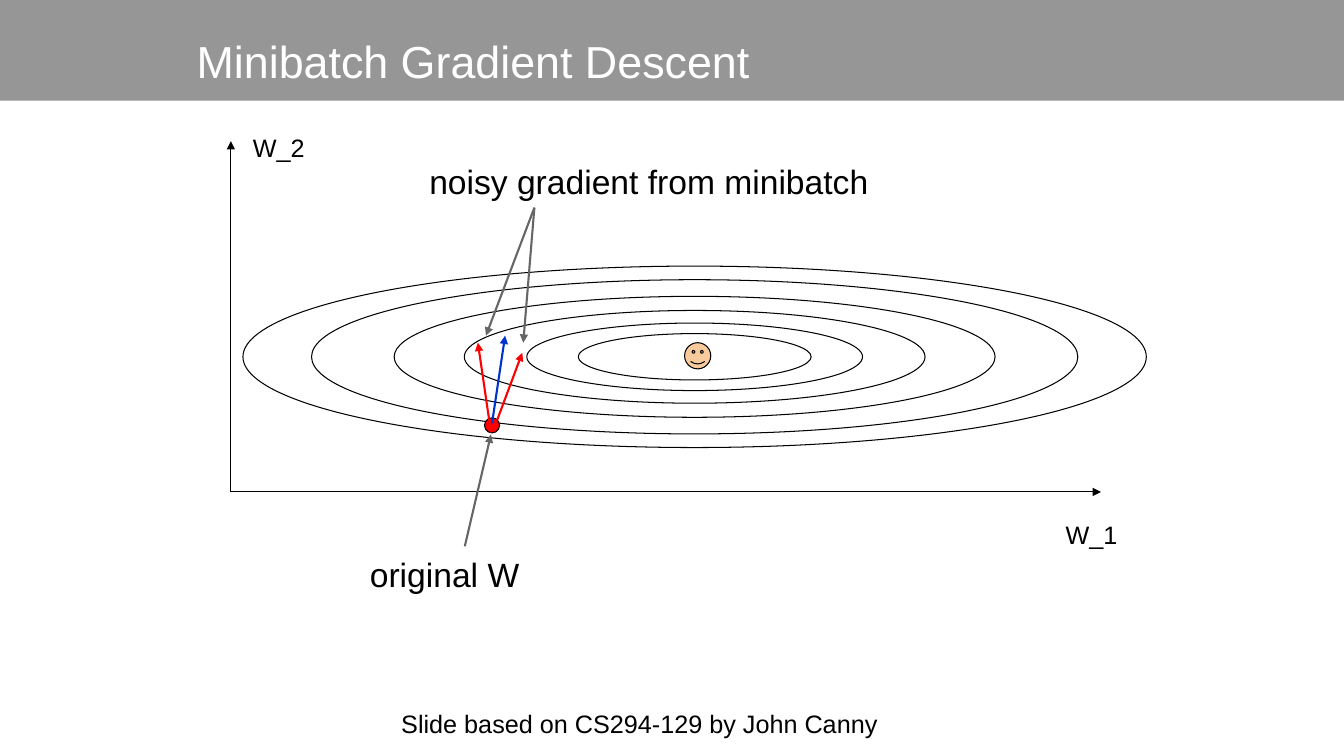
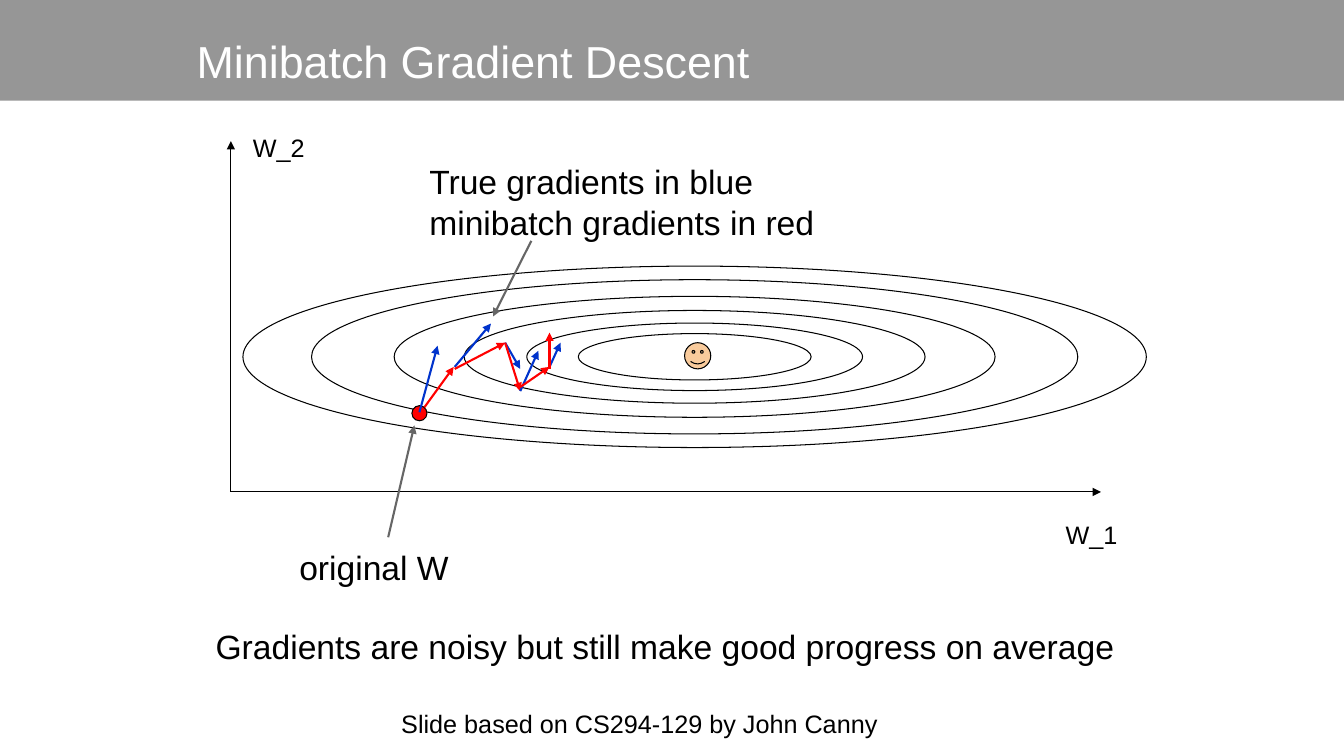
from lxml import etree
from pptx import Presentation
from pptx.dml.color import RGBColor
from pptx.enum.shapes import MSO_CONNECTOR as Conn, MSO_SHAPE as Shape
from pptx.enum.text import MSO_ANCHOR as Anchor, PP_ALIGN as Align
from pptx.oxml.ns import qn
from pptx.util import Inches, Pt

BLACK = RGBColor(0x00, 0x00, 0x00)
WHITE = RGBColor(0xFF, 0xFF, 0xFF)
BAND_GRAY = RGBColor(0x96, 0x96, 0x96)
POINTER_GRAY = RGBColor(0x66, 0x66, 0x66)
RED = RGBColor(0xFF, 0x00, 0x00)
BLUE = RGBColor(0x00, 0x33, 0xCC)
SKIN = RGBColor(0xF9, 0xCB, 0x9C)

WIDTH, HEIGHT = 13.33, 7.5
MINIMUM = (6.89, 3.54)  # common centre of the contour lines
CONTOURS = [(8.96, 1.8), (7.6, 1.53), (5.96, 1.2),
            (4.57, 0.92), (3.33, 0.67), (2.31, 0.46)]
ORIGIN, W1_END, W2_END = (2.29, 4.88), (10.92, 4.88), (2.29, 1.4)


def write(frame, text, size=24, color=BLACK, inset=0.1):
    """Fill a text frame with left-aligned text; a newline is a line break."""
    frame.word_wrap = True
    frame.vertical_anchor = Anchor.TOP
    frame.margin_left = frame.margin_right = Inches(inset)
    frame.margin_top = frame.margin_bottom = Inches(inset)
    paragraph = frame.paragraphs[0]
    paragraph.text = text.replace("\n", "\v")
    paragraph.alignment = Align.LEFT
    font = paragraph.font
    font.name, font.size, font.color.rgb = "Arial", Pt(size), color


class Deck:
    def __init__(self):
        self.prs = Presentation()
        self.prs.slide_width = Inches(WIDTH)
        self.prs.slide_height = Inches(HEIGHT)
        self.layout = self.prs.slide_layouts[5]
        self.slide = None

    def add_slide(self, title):
        first = self.slide is None
        self.slide = self.prs.slides.add_slide(self.layout)
        if first:
            self.band()
        heading = self.slide.shapes.title
        heading.left, heading.top = Inches(1.85), Inches(0.23)
        heading.width, heading.height = Inches(9.65), Inches(0.91)
        write(heading.text_frame, title, size=32, color=WHITE)

    def band(self):
        """Put the title band on the layout, behind everything else."""
        band = self.shape(Shape.RECTANGLE, (WIDTH / 2, 0.5), WIDTH, 1,
                          fill=BAND_GRAY, line=None)
        self.layout.shapes._spTree.insert(2, band._element)

    def shape(self, kind, center, width, height, fill=None, line=BLACK):
        shape = self.slide.shapes.add_shape(
            kind, Inches(center[0] - width / 2), Inches(center[1] - height / 2),
            Inches(width), Inches(height))
        shape.shadow.inherit = False
        if fill is None:
            shape.fill.background()
        else:
            shape.fill.solid()
            shape.fill.fore_color.rgb = fill
        if line is None:
            shape.line.fill.background()
        else:
            shape.line.color.rgb = line
            shape.line.width = Pt(0.75)
        return shape

    def arrow(self, start, end, color=POINTER_GRAY, weight=1.5):
        arrow = self.slide.shapes.add_connector(
            Conn.STRAIGHT, *(Inches(v) for v in (*start, *end)))
        arrow.line.color.rgb = color
        arrow.line.width = Pt(weight)
        etree.SubElement(arrow.line._get_or_add_ln(), qn("a:tailEnd"),
                         type="triangle")
        etree.SubElement(arrow._element.spPr, qn("a:effectLst"))

    def label(self, text, left, top, width, height=0.57, **style):
        box = self.slide.shapes.add_textbox(
            Inches(left), Inches(top), Inches(width), Inches(height))
        write(box.text_frame, text, **style)

    def loss_surface(self, start):
        """Axes, contour lines, the minimum and the starting point."""
        self.arrow(ORIGIN, W1_END, BLACK, 0.75)
        self.arrow(ORIGIN, W2_END, BLACK, 0.75)
        self.label("W_1", 10.47, 5.05, 1.02, 0.44, size=18)
        self.label("W_2", 2.41, 1.21, 1.02, 0.44, size=18)
        for width, height in CONTOURS:
            self.shape(Shape.OVAL, MINIMUM, width, height)
        self.shape(Shape.OVAL, start, 0.15, 0.15, fill=RED)
        smiley = self.shape(Shape.SMILEY_FACE, (6.92, 3.53), 0.26, 0.26, fill=SKIN)
        smiley.adjustments[0] = 0.047

    def credit(self):
        self.label("Slide based on CS294-129 by John Canny",
                   3.93, 6.98, 5.26, 0.4, size=18, inset=0.05)


def noisy_gradient_slide(deck):
    deck.add_slide("Minibatch Gradient Descent")
    deck.loss_surface(start=(4.88, 4.22))

    # Gradients at the starting point
    deck.arrow((4.88, 4.2), (5.01, 3.33), BLUE)
    deck.arrow((4.93, 4.17), (5.18, 3.5), RED)
    deck.arrow((4.87, 4.29), (4.74, 3.4), RED)

    # Callouts
    deck.label("noisy gradient from minibatch", 4.16, 1.5, 5.43)
    for tip in [(4.82, 3.33), (5.19, 3.4)]:
        deck.arrow((5.3, 2.06), tip)
    deck.label("original W", 3.57, 5.4, 2.08)
    deck.arrow((4.61, 5.42), (4.87, 4.31))
    deck.credit()


def progress_slide(deck):
    deck.add_slide("Minibatch Gradient Descent")
    deck.loss_surface(start=(4.16, 4.1))

    # True (blue) and minibatch (red) gradient of each step
    steps = [
        ((4.16, 4.09), (4.34, 3.43), BLUE),
        ((4.21, 4.04), (4.5, 3.64), RED),
        ((4.51, 3.64), (4.87, 3.21), BLUE),
        ((4.51, 3.66), (5.01, 3.4), RED),
        ((5.01, 3.4), (5.16, 3.66), BLUE),
        ((5.01, 3.4), (5.16, 3.88), RED),
        ((5.16, 3.88), (5.34, 3.48), BLUE),
        ((5.16, 3.84), (5.45, 3.64), RED),
        ((5.45, 3.64), (5.56, 3.4), BLUE),
        ((5.45, 3.66), (5.45, 3.3), RED),
    ]
    for start, end, color in steps:
        deck.arrow(start, end, color)

    # Callouts
    deck.label("True gradients in blue\nminibatch gradients in red",
               4.16, 1.5, 5.43, 0.95)
    deck.arrow((5.27, 2.39), (4.89, 3.14))
    deck.label("original W", 2.87, 5.33, 2.08)
    deck.arrow((3.85, 5.33), (4.11, 4.22))
    deck.label("Gradients are noisy but still make good progress on average",
               2.04, 6.11, 9.33)
    deck.credit()


def main():
    deck = Deck()
    noisy_gradient_slide(deck)
    progress_slide(deck)
    deck.prs.save("out.pptx")


if __name__ == "__main__":
    main()
